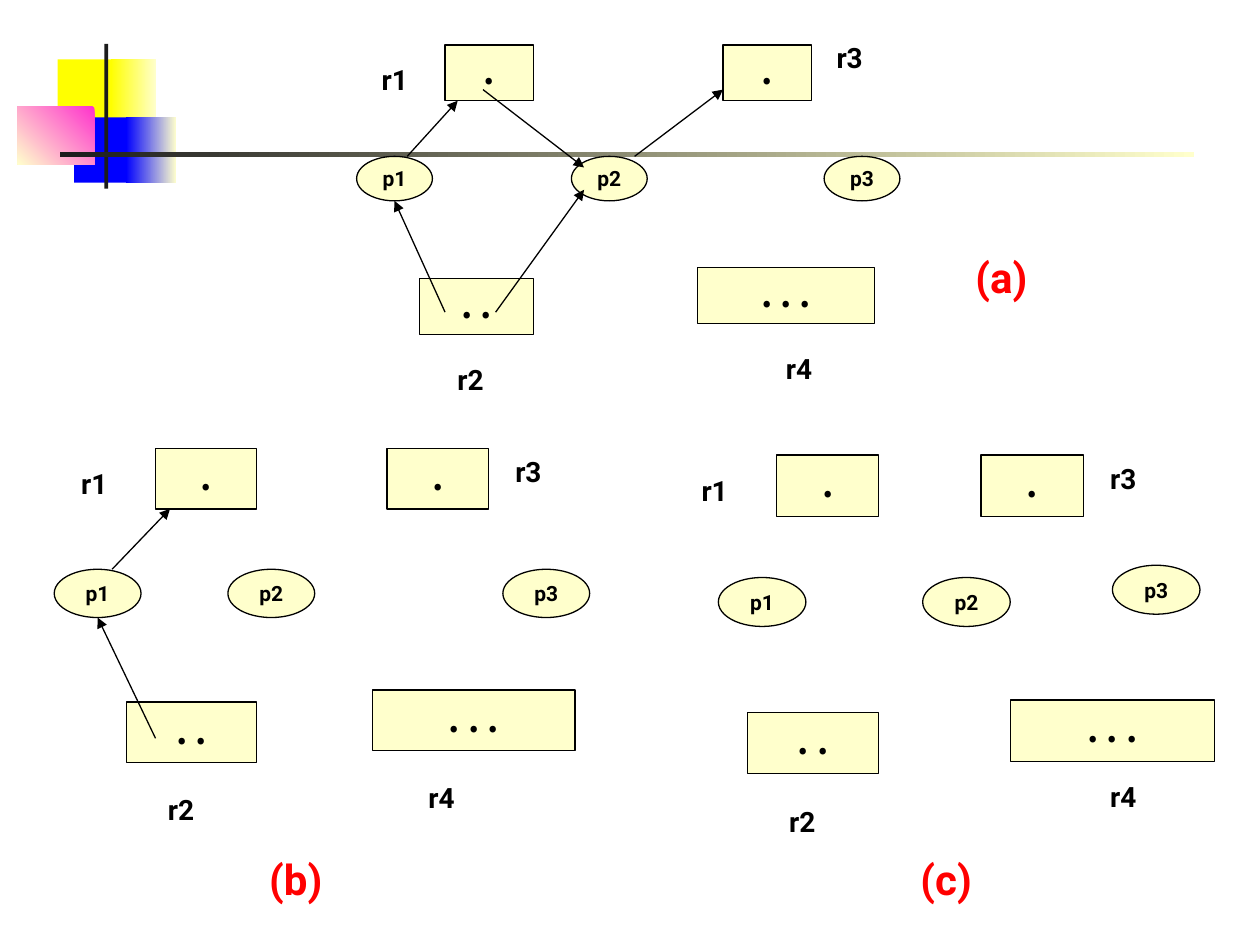
import pptx
import pptx.util
import pptx.dml.color
import pptx.enum.shapes
import pptx.enum.text
import pptx.oxml.ns
from lxml import etree

Pt = pptx.util.Pt
RGBColor = pptx.dml.color.RGBColor
SHAPES = pptx.enum.shapes.MSO_SHAPE
STRAIGHT = pptx.enum.shapes.MSO_CONNECTOR.STRAIGHT
CENTER = pptx.enum.text.PP_ALIGN.CENTER
LEFT = pptx.enum.text.PP_ALIGN.LEFT
MIDDLE = pptx.enum.text.MSO_ANCHOR.MIDDLE
TOP = pptx.enum.text.MSO_ANCHOR.TOP

BLACK = RGBColor(0x00, 0x00, 0x00)
CHARCOAL = RGBColor(0x1C, 0x1C, 0x1C)
CREAM = RGBColor(0xFF, 0xFF, 0xCC)
YELLOW = RGBColor(0xFF, 0xFF, 0x00)
BLUE = RGBColor(0x00, 0x00, 0xFF)
PINK = RGBColor(0xFF, 0x33, 0xCC)
RED = RGBColor(0xFF, 0x00, 0x00)

PROCESS = {"size": Pt(12), "name": "Roboto", "bold": True}
INSTANCES = {"size": Pt(20), "name": "Noto Sans CJK SC", "bold": True}
LABEL = {"size": Pt(16), "name": "Roboto", "bold": True}
CAPTION = {"size": Pt(24), "name": "Roboto", "bold": True}

# Width in grid columns and dots of each resource
RESOURCES = {"r1": (7, "."), "r2": (9, ". ."), "r3": (7, "."), "r4": (14, ". . .")}

# Box: left, top, column width, row height in points.
# Every other place is a (column, row) of the panel's grid.
PANELS = [
    {
        "box": (203.8, 19.4, 7.22, 6.36),
        "processes": {"p2": (17, 11), "p1": (0, 11), "p3": (37, 11)},
        "resources": {"r1": (7, 1), "r3": (29, 1), "r2": (5, 22), "r4": (27, 21)},
        "labels": {"r1": (1, 2), "r3": (37, 0), "r2": (7, 29), "r4": (33, 28)},
        "arrows": [((10, 5), (18, 12)), ((11, 25), (18, 14)), ((7, 25), (3, 15)),
                   ((4, 11), (8, 6)), ((22, 11), (29, 5))],
        "caption": ("(a)", (48, 19)),
    },
    {
        "box": (31, 249.4, 8.27, 6.9),
        "processes": {"p2": (12, 11), "p1": (0, 11), "p3": (31, 11)},
        "resources": {"r1": (7, 1), "r3": (23, 1), "r2": (5, 22), "r4": (22, 21)},
        "labels": {"r1": (1, 2), "r3": (31, 1), "r2": (7, 29), "r4": (25, 28)},
        "arrows": [((7, 25), (3, 15)), ((4, 11), (8, 6))],
        "caption": ("(b)", (14, 34)),
    },
    {
        "box": (393.8, 260, 8.34, 7),
        "processes": {"p2": (16, 10), "p1": (2, 10), "p3": (29, 9)},
        "resources": {"r1": (6, 1e-9 * 0), "r3": (20, 0), "r2": (4, 21), "r4": (22, 20)},
        "labels": {"r1": (0, 1), "r3": (28, 0), "r2": (6, 28), "r4": (28, 26)},
        "arrows": [],
        "caption": ("(c)", (15, 32)),
    },
]
PANELS[2]["resources"]["r1"] = (6, 0)


def write(holder, text, style, color, align, anchor, wrap):
    frame = holder.text_frame
    for name, value in {"word_wrap": wrap, "vertical_anchor": anchor}.items():
        setattr(frame, name, value)
    paragraph = frame.paragraphs[0]
    paragraph.text = text
    paragraph.alignment = align
    for name, value in style.items():
        setattr(paragraph.font, name, value)
    paragraph.font.color.rgb = color
    return paragraph


def draw_node(shapes, kind, bounds, text, style):
    node = shapes.add_shape(kind, *map(Pt, bounds))
    node.shadow.inherit = False
    node.fill.solid()
    node.fill.fore_color.rgb = CREAM
    node.line.color.rgb = BLACK
    node.line.width = Pt(0.75)
    return write(node, text, style, BLACK, CENTER, MIDDLE, False)


def draw_label(shapes, bounds, text, style, color):
    label = shapes.add_textbox(*map(Pt, bounds))
    write(label, text, style, color, LEFT, TOP, True)


def draw_arrow(shapes, start, end):
    arrow = shapes.add_connector(STRAIGHT, *map(Pt, start + end))
    arrow.line.color.rgb = BLACK
    arrow.line.width = Pt(0.75)
    qn = pptx.oxml.ns.qn
    etree.SubElement(arrow.line._get_or_add_ln(), qn("a:tailEnd"), type="triangle")
    etree.SubElement(arrow._element.spPr, qn("a:effectLst"))


def draw_panel(slide, box, processes, resources, labels, arrows, caption):
    """Draw one resource allocation graph on the grid that box describes."""
    left, top, column, row = box
    shapes = slide.shapes.add_group_shape().shapes

    def place(cell):
        return left + cell[0] * column, top + cell[1] * row

    for process, cell in processes.items():
        bounds = (*place(cell), 6 * column, 4 * row)
        draw_node(shapes, SHAPES.OVAL, bounds, process, PROCESS)
    for resource, cell in resources.items():
        columns, dots = RESOURCES[resource]
        bounds = (*place(cell), columns * column, 5 * row)
        draw_node(shapes, SHAPES.RECTANGLE, bounds, dots, INSTANCES).line_spacing = 0.95
    for resource, cell in labels.items():
        draw_label(shapes, (*place(cell), 5 * column, 26.6), resource, LABEL, BLACK)
    for start, end in arrows:
        draw_arrow(shapes, place(start), place(end))
    text, cell = caption
    draw_label(shapes, (*place(cell), 9 * column, 36), text, CAPTION, RED)


def draw_ornament(slide, left, top):
    """Draw the coloured squares and crossed bars of the template."""
    parts = [
        ((23, 9, 34.6, 37.4), [YELLOW], None),
        ((53.3, 9, 26, 37.4), [CREAM, YELLOW], 180),
        ((32.4, 42, 33, 37.4), [BLUE], None),
        ((62, 42, 28.8, 37.4), [CREAM, BLUE], 180),
        ((0, 36, 44, 33), [PINK, CREAM], 225),
        ((49.7, 0, 2.2, 82.8), [CHARCOAL], None),
        ((24.5, 62, 648, 2.9), [CREAM, CHARCOAL], 180),
    ]
    for (x, y, width, height), colors, angle in parts:
        part = slide.shapes.add_shape(
            SHAPES.RECTANGLE, Pt(left + x), Pt(top + y), Pt(width), Pt(height))
        part.shadow.inherit = False
        part.line.fill.background()
        if angle is None:
            part.fill.solid()
            part.fill.fore_color.rgb = colors[0]
        else:
            part.fill.gradient()
            part.fill.gradient_angle = angle
            for stop, color in zip(part.fill.gradient_stops, colors):
                stop.color.rgb = color


def main():
    presentation = pptx.Presentation()
    presentation.slide_width, presentation.slide_height = Pt(720), Pt(540)
    slide = presentation.slides.add_slide(presentation.slide_layouts[6])
    draw_ornament(slide, 10, 25)
    for panel in PANELS:
        draw_panel(slide, **panel)
    presentation.save("out.pptx")


if __name__ == "__main__":
    main()
